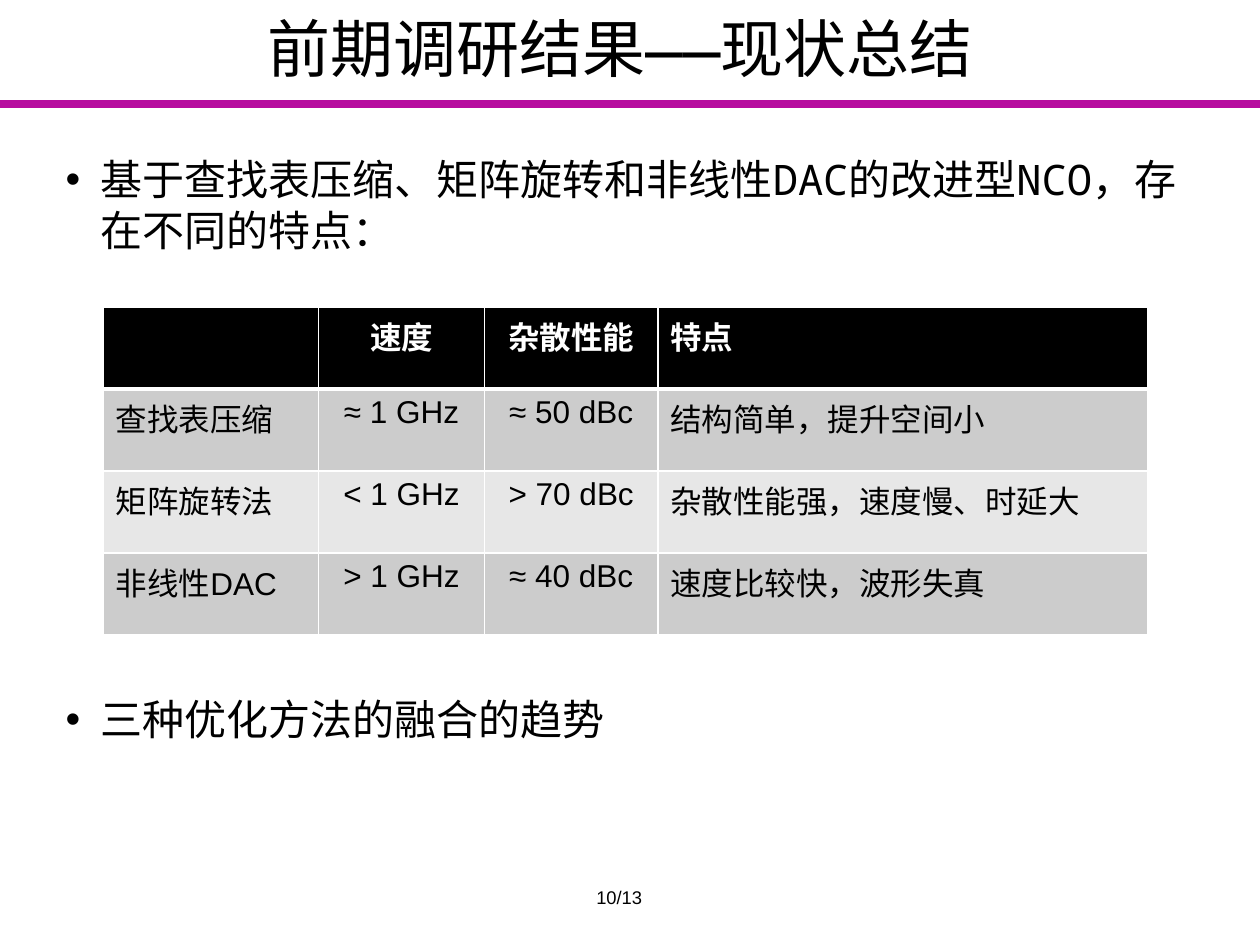
from collections import namedtuple
from dataclasses import dataclass

from lxml.etree import SubElement
from pptx import Presentation
from pptx.dml.color import RGBColor
from pptx.enum.shapes import MSO_CONNECTOR
from pptx.enum.text import MSO_ANCHOR, MSO_AUTO_SIZE, PP_ALIGN
from pptx.oxml import parse_xml
from pptx.oxml.ns import nsdecls, qn
from pptx.util import Inches, Pt

Box = namedtuple("Box", "left top width height")


@dataclass(frozen=True)
class Theme:
    """Colours, fonts and type sizes of the deck."""
    ink: str = "000000"
    paper: str = "FFFFFF"
    accent: str = "B70D9F"
    bands: tuple = ("CCCCCC", "E7E7E7")
    text_font: str = "Noto Sans Mono"
    table_font: str = "Arial"
    title_size: float = 36
    body_size: float = 24
    table_size: float = 18
    footer_size: float = 10.5


THEME = Theme()
WIDTH, HEIGHT = Inches(10), Inches(7.5)
COLUMN_SHARES = (0.206, 0.159, 0.166, 0.469)
CENTRED_COLUMNS = (1, 2)
ROWS = (
    ("", "速度", "杂散性能", "特点"),
    ("查找表压缩", "≈ 1 GHz", "≈ 50 dBc", "结构简单，提升空间小"),
    ("矩阵旋转法", "< 1 GHz", "> 70 dBc", "杂散性能强，速度慢、时延大"),
    ("非线性DAC", "> 1 GHz", "≈ 40 dBc", "速度比较快，波形失真"),
)
POINTS = (
    ("基于查找表压缩、矩阵旋转和非线性DAC的改进型NCO，存在不同的特点：", 6),
    ("三种优化方法的融合的趋势", 239),
)


def share_box(left, top, width, height):
    """Turn shares of the slide into a box of lengths."""
    return Box(int(left * WIDTH), int(top * HEIGHT),
               int(width * WIDTH), int(height * HEIGHT))


def place(shape, box):
    """Move a shape into a box."""
    shape.left, shape.top, shape.width, shape.height = box


def write(para, text, *, font, size, colour=THEME.ink, bold=False,
          align=PP_ALIGN.LEFT, east_asian=False):
    """Write one formatted run into a paragraph."""
    para.alignment = align
    span = para.add_run()
    span.text = text
    span.font.name = font
    span.font.size = Pt(size)
    span.font.bold = bold
    span.font.color.rgb = RGBColor.from_string(colour)
    if east_asian:
        SubElement(span.font._element, qn("a:ea"), typeface=font)


def add_title(page, box):
    """Fill the title placeholder."""
    place(page.shapes.title, box)
    frame = page.shapes.title.text_frame
    frame.vertical_anchor = MSO_ANCHOR.MIDDLE
    frame.auto_size = MSO_AUTO_SIZE.NONE
    write(frame.paragraphs[0], "前期调研结果——现状总结", font=THEME.text_font,
          size=THEME.title_size, align=PP_ALIGN.CENTER, east_asian=True)


def add_rule(page, top):
    """Draw the coloured line under the title."""
    rule = page.shapes.add_connector(MSO_CONNECTOR.STRAIGHT, 0, top, WIDTH, top)
    rule.line.color.rgb = RGBColor.from_string(THEME.accent)
    rule.line.width = Pt(4.5)
    SubElement(rule._element.spPr, qn("a:effectLst"))


def add_points(page, box):
    """Fill the body placeholder, leaving room for the table between bullets."""
    body = page.placeholders[1]
    place(body, box)
    frame = body.text_frame
    frame.auto_size = MSO_AUTO_SIZE.NONE
    for index, (text, space) in enumerate(POINTS):
        para = frame.add_paragraph() if index else frame.paragraphs[0]
        para.space_before, para.space_after = Pt(space), Pt(12)
        write(para, text, font=THEME.text_font, size=THEME.body_size,
              east_asian=True)
        properties = para._p.get_or_add_pPr()
        properties.set("marL", str(Inches(0.28)))
        properties.set("indent", str(-Inches(0.28)))
        SubElement(properties, qn("a:buFont"), typeface=THEME.table_font)
        SubElement(properties, qn("a:buChar"), char="•")


def set_borders(cell, **widths):
    """Give a cell paper-coloured borders, with widths in points by side."""
    properties = cell._tc.get_or_add_tcPr()
    for index, (side, width) in enumerate(widths.items()):
        properties.insert(index, parse_xml(
            f'<a:ln{side} {nsdecls("a")} w="{Pt(width)}"><a:solidFill>'
            f'<a:srgbClr val="{THEME.paper}"/></a:solidFill></a:ln{side}>'))


def add_comparison(page, box):
    """Build the comparison table with a dark header and banded rows."""
    table = page.shapes.add_table(len(ROWS), len(COLUMN_SHARES), *box).table
    for column, share in zip(table.columns, COLUMN_SHARES):
        column.width = int(box.width * share)
    for row, texts in enumerate(ROWS):
        header = row == 0
        fill = THEME.ink if header else THEME.bands[(row - 1) % 2]
        for column, text in enumerate(texts):
            cell = table.cell(row, column)
            cell.fill.solid()
            cell.fill.fore_color.rgb = RGBColor.from_string(fill)
            set_borders(cell, L=1, R=1, T=3 if row == 1 else 1,
                        B=3 if header else 1)
            if text:
                centred = column in CENTRED_COLUMNS
                write(cell.text_frame.paragraphs[0], text,
                      font=THEME.table_font, size=THEME.table_size, bold=header,
                      colour=THEME.paper if header else THEME.ink,
                      align=PP_ALIGN.CENTER if centred else PP_ALIGN.LEFT)


def add_page_number(page, box):
    """Write the page count at the foot of the slide."""
    frame = page.shapes.add_textbox(*box).text_frame
    frame.word_wrap = True
    write(frame.paragraphs[0], "10/13", font=THEME.table_font,
          size=THEME.footer_size, align=PP_ALIGN.CENTER)


def main():
    """Build and save the deck."""
    deck = Presentation()
    deck.slide_width, deck.slide_height = WIDTH, HEIGHT
    page = deck.slides.add_slide(deck.slide_layouts[1])
    add_rule(page, int(0.11 * HEIGHT))
    add_title(page, share_box(0.042, -0.033, 0.9, 0.167))
    add_points(page, share_box(0.042, 0.156, 0.908, 0.753))
    add_page_number(page, share_box(0.333, 0.931, 0.317, 0.069))
    add_comparison(page, share_box(0.082, 0.325, 0.829, 0.347))
    deck.save("out.pptx")


if __name__ == "__main__":
    main()
